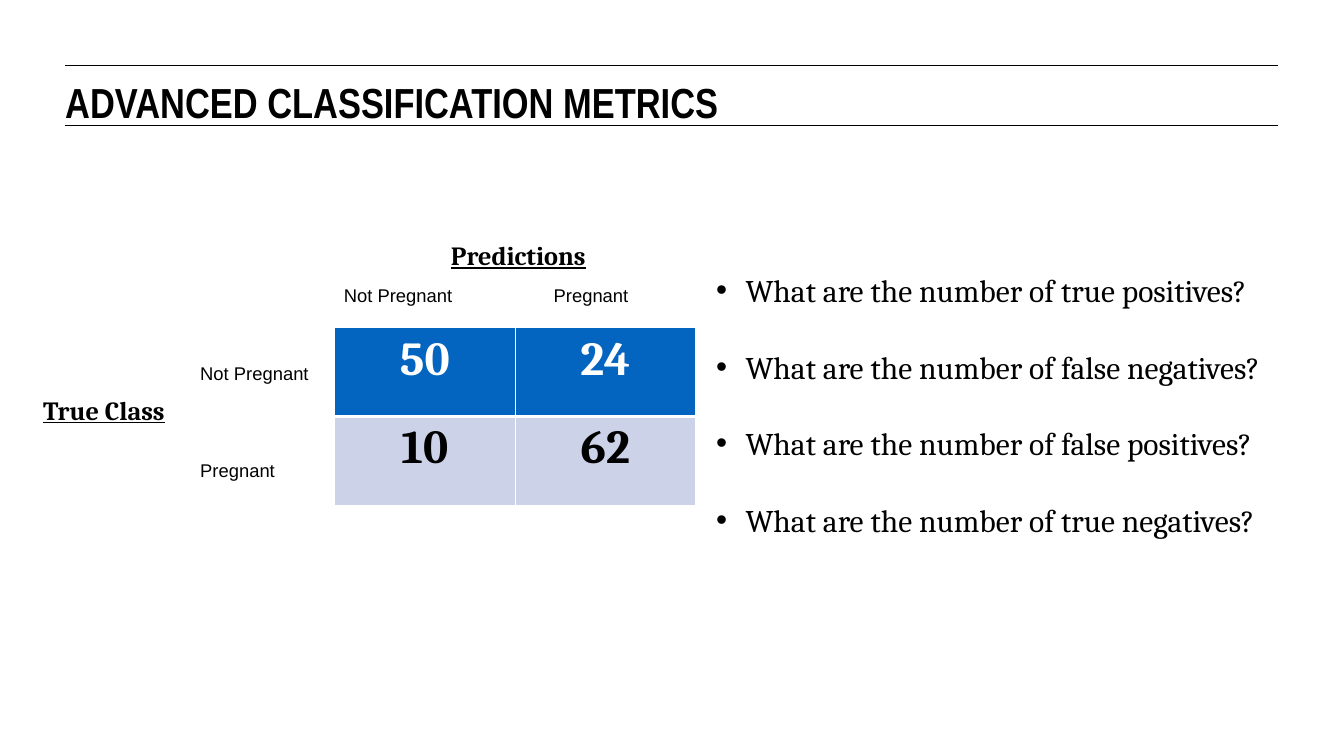
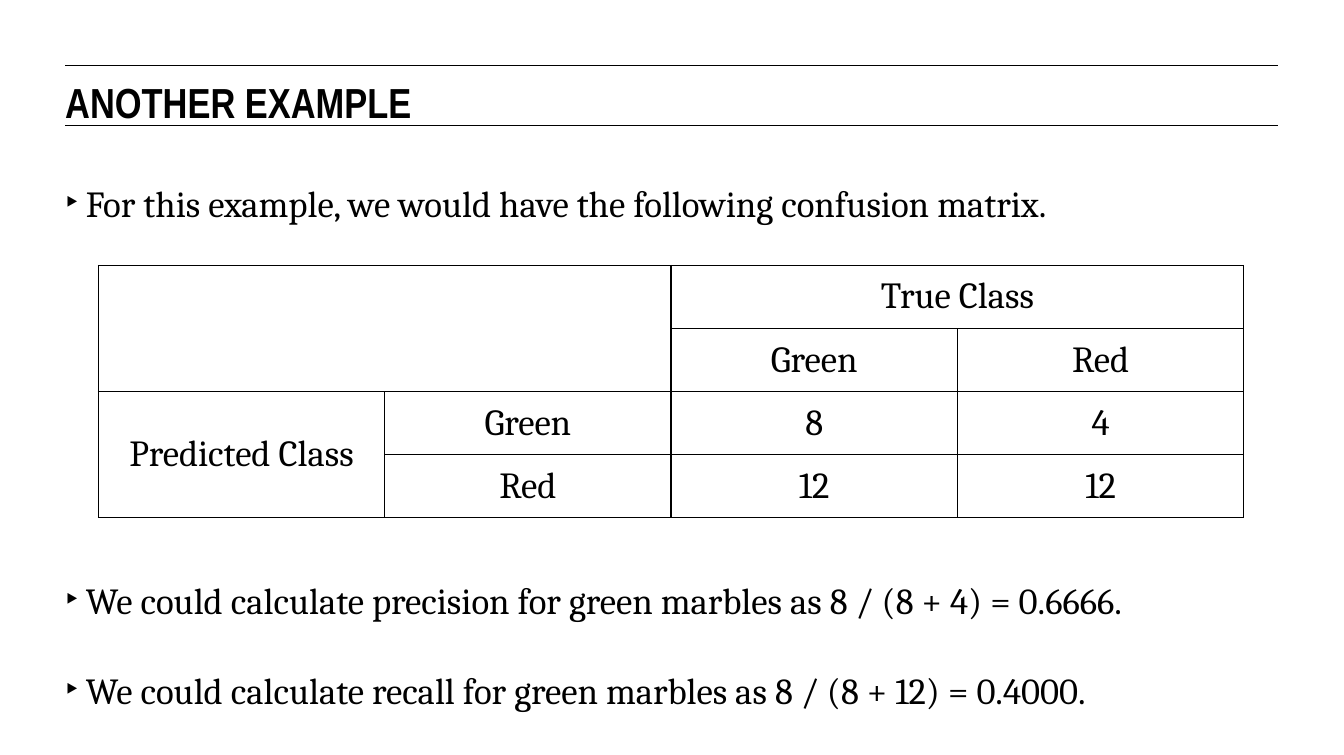
from lxml import etree
from pptx import Presentation
from pptx.dml.color import RGBColor
from pptx.enum.shapes import MSO_CONNECTOR
from pptx.enum.text import MSO_ANCHOR, PP_ALIGN
from pptx.oxml.ns import qn
from pptx.util import Inches, Pt

BLACK = RGBColor(0x00, 0x00, 0x00)
WHITE = RGBColor(0xFF, 0xFF, 0xFF)
BLUE = RGBColor(0x03, 0x65, 0xC0)
PALE_BLUE = RGBColor(0xCC, 0xD3, 0xE8)

SERIF, SANS, NARROW = "Cambria", "Arial", "Arial Narrow"
LEFT, CONTENT_W = 0.69, 12.83


def add_bullet(p, char, margin, hanging):
    pPr = p._p.get_or_add_pPr()
    pPr.set("marL", str(Inches(margin)))
    pPr.set("indent", str(-Inches(hanging)))
    font = etree.SubElement(pPr, qn("a:buFont"))
    font.set("typeface", SANS)
    etree.SubElement(pPr, qn("a:buChar")).set("char", char)


def write(tf, lines, size=14, font=SANS, color=BLACK, bold=False,
          underline=False, align=PP_ALIGN.LEFT, bullet=None, gap=0):
    """Write one paragraph per line; bullet is (char, margin, hanging)."""
    for i, line in enumerate(lines):
        p = tf.paragraphs[0] if i == 0 else tf.add_paragraph()
        if bullet:
            add_bullet(p, *bullet)
        p.alignment = align
        if i and gap:
            p.space_before = Pt(gap)
        r = p.add_run()
        r.text = line
        r.font.name, r.font.size = font, Pt(size)
        r.font.bold, r.font.underline = bold, underline
        r.font.color.rgb = color


def add_text(s, x, y, w, h, *lines, inset=True, **fmt):
    tf = s.shapes.add_textbox(Inches(x), Inches(y), Inches(w), Inches(h)).text_frame
    tf.word_wrap = True
    if not inset:
        tf.margin_left = tf.margin_right = tf.margin_top = tf.margin_bottom = 0
    write(tf, lines, **fmt)


def add_rule(s, y):
    line = s.shapes.add_connector(MSO_CONNECTOR.STRAIGHT, Inches(LEFT), Inches(y),
                                  Inches(LEFT + CONTENT_W), Inches(y))
    line.line.color.rgb = BLACK
    line.line.width = Pt(0.75)
    etree.SubElement(line._element.spPr, qn("a:effectLst"))


def add_titled_slide(prs, title):
    s = prs.slides.add_slide(prs.slide_layouts[6])
    for y in (0.69, 1.33):
        add_rule(s, y)
    add_text(s, LEFT, 0.81, CONTENT_W, 0.47, title, inset=False,
             size=32, font=NARROW, bold=True)
    return s


def set_borders(cell, color, left=1, right=1, top=1, bottom=1):
    tcPr = cell._tc.get_or_add_tcPr()
    widths = {"lnL": left, "lnR": right, "lnT": top, "lnB": bottom}
    for i, (tag, width) in enumerate(widths.items()):
        ln = etree.Element(qn("a:" + tag))
        ln.set("w", str(Pt(width)))
        fill = etree.SubElement(ln, qn("a:solidFill"))
        etree.SubElement(fill, qn("a:srgbClr")).set("val", str(color))
        tcPr.insert(i, ln)


def add_grid(s, x, y, col_w, row_h, rows):
    """Add a plain table; None leaves a cell empty."""
    n_cols = len(rows[0])
    table = s.shapes.add_table(len(rows), n_cols, Inches(x), Inches(y),
                               Inches(col_w * n_cols), Inches(row_h * len(rows))).table
    table.first_row = table.horz_banding = False
    for col in table.columns:
        col.width = Inches(col_w)
    for row in table.rows:
        row.height = Inches(row_h)
    return table


def fill_grid(table, rows, style_cell, **fmt):
    for i, row in enumerate(rows):
        for j, value in enumerate(row):
            cell = table.cell(i, j)
            color = style_cell(cell, i)
            if value:
                write(cell.text_frame, [value], font=SERIF, color=color,
                      align=PP_ALIGN.CENTER, **fmt)


def style_pregnancy_cell(cell, row):
    cell.fill.solid()
    cell.fill.fore_color.rgb = PALE_BLUE if row else BLUE
    set_borders(cell, WHITE, top=1 if row == 0 else 3, bottom=1 if row else 3)
    return BLACK if row else WHITE


def style_marble_cell(cell, row):
    cell.fill.background()
    cell.vertical_anchor = MSO_ANCHOR.MIDDLE
    cell.margin_left = cell.margin_right = Inches(0.1)
    cell.margin_top = cell.margin_bottom = Inches(0.1)
    set_borders(cell, BLACK)
    return BLACK


def build_metrics(prs):
    s = add_titled_slide(prs, "ADVANCED CLASSIFICATION METRICS")

    # Confusion matrix
    rows = [["50", "24"], ["10", "62"]]
    table = add_grid(s, 3.54, 3.47, 1.91, 0.94, rows)
    fill_grid(table, rows, style_pregnancy_cell, size=36, bold=True)

    # Axis headings and class labels
    heading = dict(size=20, font=SERIF, bold=True, underline=True, align=PP_ALIGN.CENTER)
    add_text(s, 0.1, 4.12, 2, 0.44, "True Class", **heading)
    add_text(s, 4.52, 2.48, 1.93, 0.44, "Predictions", **heading)
    classes = ("Not Pregnant", "Pregnant")
    for label, x, y in zip(classes, (3.54, 5.76), (3.78, 4.81)):
        add_text(s, x, 2.96, 1.6, 0.34, label)
        add_text(s, 2.02, y, 1.5, 0.34, label)

    # Questions
    kinds = ("true positives", "false negatives", "false positives", "true negatives")
    add_text(s, 7.48, 2.82, 6.7, 2.93,
             *[f"What are the number of {kind}?" for kind in kinds],
             size=24, font=SERIF, bullet=("•", 0.31, 0.31), gap=29.5)


def build_example(prs):
    s = add_titled_slide(prs, "ANOTHER EXAMPLE")
    body = dict(inset=False, size=28, font=SERIF, bullet=("‣", 0.22, 0.28), gap=35)

    # Statements above and below the table
    add_text(s, LEFT, 1.91, CONTENT_W, 0.5,
             "For this example, we would have the following confusion matrix.", **body)
    add_text(s, LEFT, 6.11, CONTENT_W, 1.45,
             "We could calculate precision for green marbles as 8 / (8 + 4) = 0.6666.",
             "We could calculate recall for green marbles as 8 / (8 + 12) = 0.4000.", **body)

    # Confusion matrix with merged headings
    rows = [[None, None, "True Class", None],
            [None, None, "Green", "Red"],
            ["Predicted Class", "Green", "8", "4"],
            [None, "Red", "12", "12"]]
    table = add_grid(s, 1.04, 2.81, 3.03, 0.65, rows)
    for first, last in (((0, 0), (1, 1)), ((0, 2), (0, 3)), ((2, 0), (3, 0))):
        table.cell(*first).merge(table.cell(*last))
    fill_grid(table, rows, style_marble_cell, size=28)


def main():
    prs = Presentation()
    prs.slide_width, prs.slide_height = Inches(14.22), Inches(7.99)
    build_metrics(prs)
    build_example(prs)
    prs.save("out.pptx")


if __name__ == "__main__":
    main()
